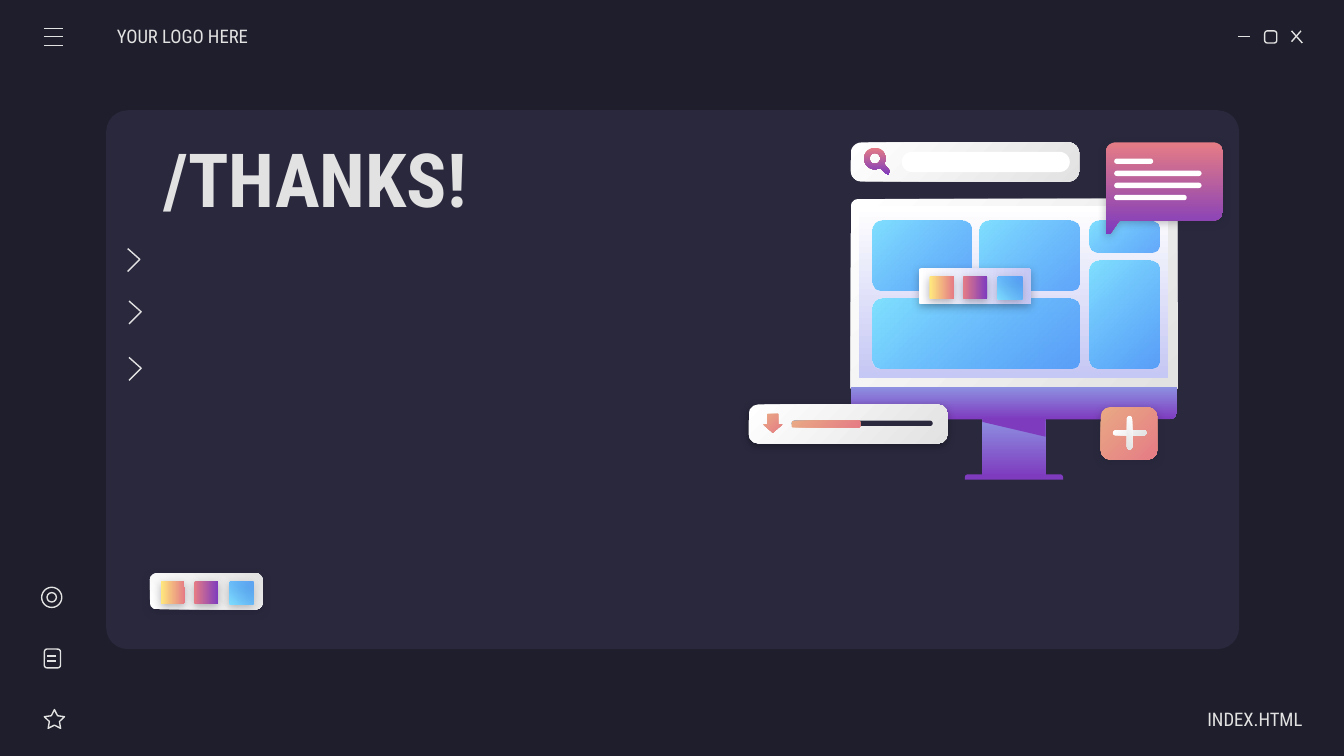
import math

import pptx
import pptx.dml.color
import pptx.enum.shapes
import pptx.enum.text
import pptx.oxml
import pptx.oxml.ns
import pptx.util
from pptx.util import Inches

SHAPE = pptx.enum.shapes.MSO_SHAPE
ALIGN = pptx.enum.text.PP_ALIGN

LIGHT, NIGHT, CARD, WHITE, PURPLE = "E2E2E2", "1E1E2C", "29283D", "FFFFFF", "7E3BBE"
# Gradients: start colour, end colour, clockwise angle, opacity of the end in percent
SILVER = (WHITE, LIGHT, 45, 100)
LAVENDER = (WHITE, "C5C7F4", 90, 100)
VIOLET = ("8D90E1", PURPLE, 90, 100)
SUNSET = ("E57C85", PURPLE, 90, 100)
SUNRISE = ("FFEA7D", "E57C85", 90, 100)
PEACH = ("E9A984", "E57C85", 45, 100)
SKY = ("80DFFF", "318FFA", 45, 72)


def color(value):
    return pptx.dml.color.RGBColor.from_string(value)


def arc(x, y, radius, start, end):
    """Return points along an arc, with angles in degrees running clockwise."""
    steps = 24
    angles = [math.radians(start + (end - start) * i / steps) for i in range(steps + 1)]
    return [(x + radius * math.cos(a), y + radius * math.sin(a)) for a in angles]


class SlideBuilder:
    font = "Roboto Condensed"
    line_width = pptx.util.Pt(0.75)

    def __init__(self, slide):
        self.slide = slide
        self.slide.background.fill.solid()
        self.slide.background.fill.fore_color.rgb = color(NIGHT)

    def paint(self, shape, fill=None, shadow=None):
        """Fill a shape without outline, or outline it when there is no fill."""
        shape.shadow.inherit = False
        if fill is None:
            shape.fill.background()
            shape.line.color.rgb = color(LIGHT)
            shape.line.width = self.line_width
            return shape
        shape.line.fill.background()
        if isinstance(fill, str):
            shape.fill.solid()
            shape.fill.fore_color.rgb = color(fill)
        else:
            *ends, angle, opacity = fill
            shape.fill.gradient()
            shape.fill.gradient_angle = 360 - angle
            for stop, value in zip(shape.fill.gradient_stops, ends):
                stop.color.rgb = color(value)
            if opacity < 100:
                end = shape.element.spPr.findall(".//" + pptx.oxml.ns.qn("a:srgbClr"))[-1]
                end.append(self.xml(f'<a:alpha {{}} val="{opacity * 1000}"/>'))
        if shadow:
            effects = shape.element.spPr.find(pptx.oxml.ns.qn("a:effectLst"))
            effects.append(self.xml(
                '<a:outerShdw {} blurRad="57150" dist="19050" dir="5400000" algn="bl" '
                f'rotWithShape="0"><a:srgbClr val="{shadow}"><a:alpha val="30000"/>'
                '</a:srgbClr></a:outerShdw>'))
        return shape

    def xml(self, template):
        return pptx.oxml.parse_xml(template.format(pptx.oxml.ns.nsdecls("a")))

    def preset(self, kind, box, fill=None, adjustments=(), rotation=0, shadow=None):
        shape = self.slide.shapes.add_shape(kind, *map(Inches, box))
        for index, value in enumerate(adjustments):
            shape.adjustments[index] = value
        shape.rotation = rotation
        return self.paint(shape, fill, shadow)

    def rounded(self, box, radius, fill=None, **options):
        ratio = min(0.5, radius / min(box[2:]))
        return self.preset(SHAPE.ROUNDED_RECTANGLE, box, fill, [ratio], **options)

    def pill(self, box, fill, **options):
        return self.rounded(box, min(box[2:]) / 2, fill, **options)

    def outline(self, contours, fill=None, shadow=None):
        """Draw a freeform; filled contours are closed, others stay open."""
        contours = [[(Inches(x), Inches(y)) for x, y in points] for points in contours]
        builder = self.slide.shapes.build_freeform(*contours[0][0])
        for index, points in enumerate(contours):
            if index:
                builder.move_to(*points[0])
            builder.add_line_segments(points[1:], close=fill is not None)
        return self.paint(builder.convert_to_shape(), fill, shadow)

    def line(self, *ends):
        straight = pptx.enum.shapes.MSO_CONNECTOR.STRAIGHT
        connector = self.slide.shapes.add_connector(straight, *map(Inches, ends))
        connector.line.color.rgb = color(LIGHT)
        connector.line.width = self.line_width
        connector.element.spPr.append(self.xml("<a:effectLst {}/>"))

    def text(self, box, words, size, bold=False, align=ALIGN.LEFT, left=0.1, right=0.1):
        frame = self.slide.shapes.add_textbox(*map(Inches, box)).text_frame
        frame_format = {
            "word_wrap": True, "vertical_anchor": pptx.enum.text.MSO_ANCHOR.MIDDLE,
            "margin_left": Inches(left), "margin_right": Inches(right),
            "margin_top": Inches(0.1), "margin_bottom": Inches(0.1),
        }
        for name, value in frame_format.items():
            setattr(frame, name, value)
        paragraph = frame.paragraphs[0]
        paragraph.alignment = align
        run = paragraph.add_run()
        run.text = words
        font_format = {"name": self.font, "size": pptx.util.Pt(size), "bold": bold}
        for name, value in font_format.items():
            setattr(run.font, name, value)
        run.font.color.rgb = color(LIGHT)

    def palette(self, left, top, radius, fill):
        """Draw a panel with three colour swatches, all turned a quarter left."""
        turned = {"rotation": 270, "shadow": NIGHT}
        self.rounded((left, top, 0.27, 0.84), radius, fill, **turned)
        for offset, swatch in zip((-0.2, 0.05, 0.31), (SUNRISE, SUNSET, SKY)):
            self.rounded((left + offset, top + 0.34, 0.17, 0.18), 0.01, swatch, **turned)


def draw_frame(builder):
    builder.rounded((0.79, 0.82, 8.43, 4.01), 0.16, CARD)
    # Window buttons
    builder.line(9.21, 0.27, 9.3, 0.27)
    builder.rounded((9.41, 0.23, 0.09, 0.09), 0.02)
    builder.line(9.61, 0.23, 9.69, 0.32)
    builder.line(9.68, 0.23, 9.61, 0.31)
    builder.text((0.87, 0.12, 1.17, 0.3), "YOUR LOGO HERE", 10, left=0)
    # Menu and side icons
    for y in (0.21, 0.27, 0.34):
        builder.line(0.33, y, 0.47, y)
    builder.preset(SHAPE.STAR_5_POINT, (0.33, 5.28, 0.15, 0.14), adjustments=[0.25])
    builder.rounded((0.33, 4.83, 0.12, 0.14), 0.02)
    for y in (4.88, 4.92):
        builder.line(0.35, y, 0.42, y)
    for inset in (0, 0.04):
        size = 0.15 - 2 * inset
        builder.preset(SHAPE.OVAL, (0.31 + inset, 4.37 + inset, size, size))
    builder.text((8.52, 5.2, 1.17, 0.3), "INDEX.HTML", 10, align=ALIGN.RIGHT, right=0)


def draw_monitor(builder):
    same_side = SHAPE.ROUND_2_SAME_RECTANGLE
    builder.preset(same_side, (6.33, 1.48, 2.43, 1.41), SILVER, [0.04, 0])
    builder.preset(same_side, (6.33, 2.88, 2.43, 0.24), VIOLET, [0, 0.25])
    builder.preset(SHAPE.RECTANGLE, (6.39, 1.53, 2.3, 1.28), LAVENDER)
    builder.preset(SHAPE.RECTANGLE, (7.31, 3.12, 0.47, 0.43), VIOLET)
    builder.preset(same_side, (7.18, 3.53, 0.73, 0.04), PURPLE, [0.5, 0])
    builder.outline([[(7.31, 3.11), (7.31, 3.14), (7.78, 3.25), (7.78, 3.11)]], PURPLE)
    for tile in ((6.49, 1.64, 0.74, 0.52), (6.49, 2.22, 1.54, 0.52), (7.29, 1.64, 0.74, 0.52),
                 (8.11, 1.64, 0.52, 0.24), (8.11, 1.94, 0.52, 0.8)):
        builder.rounded(tile, 0.07, SKY)


def draw_widgets(builder):
    # Speech bubble
    bubble = (arc(8.3, 1.13, 0.07, 180, 270) + arc(9.03, 1.13, 0.07, 270, 360)
              + arc(9.03, 1.57, 0.07, 0, 90) + [(8.33, 1.64), (8.26, 1.74), (8.23, 1.74)])
    builder.outline([bubble], SUNSET, NIGHT)
    for row, width in enumerate((0.29, 0.65, 0.65, 0.54)):
        builder.pill((8.29, 1.18 + 0.09 * row, width, 0.04), WHITE)
    # Download bar
    builder.rounded((5.57, 3.01, 1.48, 0.29), 0.07, SILVER, shadow="000000")
    builder.pill((5.89, 3.13, 1.05, 0.04), CARD)
    builder.rounded((5.89, 3.13, 0.51, 0.05), 0.01, PEACH)
    builder.outline([[(5.71, 3.08), (5.71, 3.16), (5.68, 3.16), (5.75, 3.22),
                      (5.82, 3.16), (5.79, 3.16), (5.79, 3.08)]], PEACH)
    # Plus button
    builder.rounded((8.19, 3.03, 0.42, 0.39), 0.07, PEACH, shadow=NIGHT)
    for rotation in (0, 90):
        builder.pill((8.28, 3.2, 0.25, 0.04), SILVER, rotation=rotation)
    builder.palette(7.12, 1.71, 0.02, LAVENDER)
    # Search bar
    builder.rounded((6.33, 1.06, 1.7, 0.29), 0.08, SILVER)
    handle = [(6.62, 1.27), (6.61, 1.3), (6.59, 1.29)]
    builder.outline([arc(6.51, 1.18, 0.08, 60, 390) + handle,
                     arc(6.51, 1.18, 0.04, 360, 0)], SUNSET)
    builder.pill((6.71, 1.13, 1.25, 0.15), WHITE)


def main():
    presentation = pptx.Presentation()
    presentation.slide_width = Inches(10)
    presentation.slide_height = presentation.slide_width * 9 // 16
    builder = SlideBuilder(presentation.slides.add_slide(presentation.slide_layouts[6]))
    draw_frame(builder)
    builder.text((1.12, 0.98, 5.32, 0.68), "/THANKS!", 40, bold=True)
    for x, y in ((0.95, 1.85), (0.96, 2.24), (0.96, 2.66)):
        builder.outline([[(x, y), (x + 0.09, y + 0.08), (x, y + 0.17)]])
    builder.palette(1.4, 3.98, 0.05, SILVER)
    draw_monitor(builder)
    draw_widgets(builder)
    presentation.save("out.pptx")


if __name__ == "__main__":
    main()
